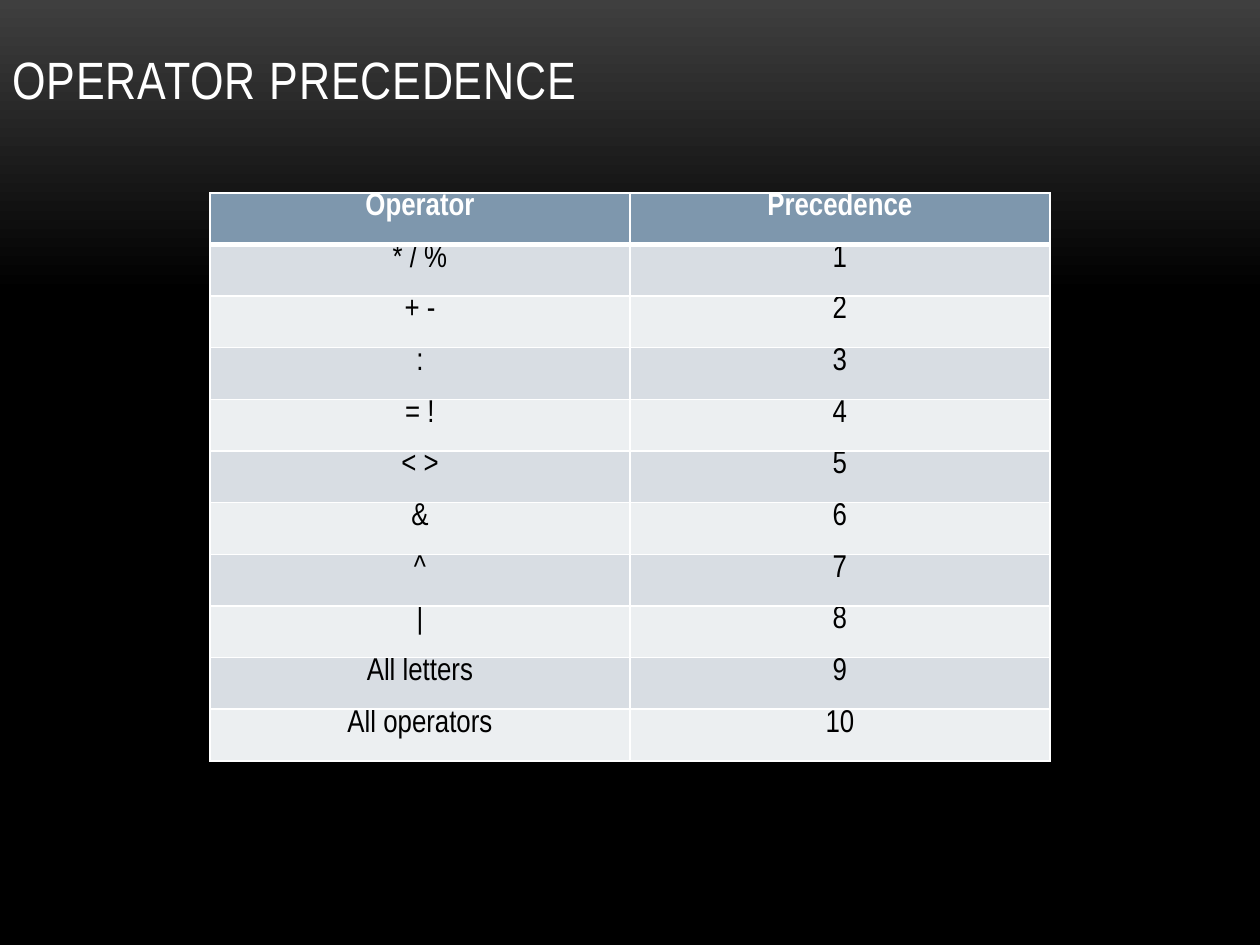
"""Build the operator precedence slide."""
import lxml.etree
import pptx
import pptx.dml.color
import pptx.enum.text
import pptx.oxml.ns
import pptx.util

TITLE = "OPERATOR PRECEDENCE"
HEADER = ("Operator", "Precedence")
OPERATORS = ["* / %", "+ -", ":", "= !", "< >", "&", "^", "|", "All letters", "All operators"]
ROWS = [HEADER] + [(operator, str(rank)) for rank, operator in enumerate(OPERATORS, 1)]

WHITE = pptx.dml.color.RGBColor(0xFF, 0xFF, 0xFF)
BLACK = pptx.dml.color.RGBColor(0x00, 0x00, 0x00)
CHARCOAL = pptx.dml.color.RGBColor(0x3F, 0x3F, 0x3F)
STEEL = pptx.dml.color.RGBColor(0x7E, 0x97, 0xAD)
BANDS = (pptx.dml.color.RGBColor(0xEC, 0xEF, 0xF1), pptx.dml.color.RGBColor(0xD8, 0xDD, 0xE3))
BACKDROP = ((0, CHARCOAL), (0.31, BLACK))

FONT = "Arial Narrow"
TITLE_FORMAT = {"name": FONT, "size": pptx.util.Pt(30)}
HEADER_FORMAT = {"name": FONT, "size": pptx.util.Pt(18), "bold": True}
BODY_FORMAT = {**HEADER_FORMAT, "bold": False}


def write(frame, text, look, color, alignment):
    para = frame.paragraphs[0]
    para.alignment = alignment
    span = para.add_run()
    span.text = text
    for name, value in look.items():
        setattr(span.font, name, value)
    span.font.color.rgb = color
    return span


def add_borders(cell, widths):
    properties = cell._tc.get_or_add_tcPr()
    for side, points in widths.items():
        line = lxml.etree.SubElement(properties, pptx.oxml.ns.qn(f"a:ln{side}"), w=str(pptx.util.Pt(points)))
        fill = lxml.etree.SubElement(line, pptx.oxml.ns.qn("a:solidFill"))
        lxml.etree.SubElement(fill, pptx.oxml.ns.qn("a:srgbClr"), val=str(WHITE))


def add_title(page, width, height):
    box = page.shapes.add_textbox(0, 0, width, height)
    frame = box.text_frame
    frame.word_wrap = True
    frame.vertical_anchor = pptx.enum.text.MSO_ANCHOR.BOTTOM
    span = write(frame, TITLE, TITLE_FORMAT, WHITE, pptx.enum.text.PP_ALIGN.LEFT)
    span.font._element.set("spc", "50")


def add_precedence_table(page, left, top, width, height):
    table = page.shapes.add_table(len(ROWS), len(HEADER), left, top, width, height).table
    for row_index, texts in enumerate(ROWS):
        is_header = row_index == 0
        for column_index, text in enumerate(texts):
            cell = table.cell(row_index, column_index)
            cell.margin_top = cell.margin_bottom = 0
            add_borders(cell, {"L": 1, "R": 1, "T": 3 if row_index == 1 else 1, "B": 3 if is_header else 1})
            cell.fill.solid()
            cell.fill.fore_color.rgb = STEEL if is_header else BANDS[row_index % 2]
            write(cell.text_frame, text, HEADER_FORMAT if is_header else BODY_FORMAT,
                  WHITE if is_header else BLACK, pptx.enum.text.PP_ALIGN.CENTER)


def main():
    deck = pptx.Presentation()
    deck.slide_width, deck.slide_height = pptx.util.Inches(10), pptx.util.Inches(7.5)
    page = deck.slides.add_slide(deck.slide_layouts[6])

    backdrop = page.background.fill
    backdrop.gradient()
    backdrop.gradient_angle = 270
    for stop, (position, color) in zip(backdrop.gradient_stops, BACKDROP):
        stop.position = position
        stop.color.rgb = color

    add_title(page, pptx.util.Inches(5.16), pptx.util.Inches(0.92))
    table_width = deck.slide_width * 2 // 3
    row_height = pptx.util.Inches(0.41)
    add_precedence_table(page, (deck.slide_width - table_width) // 2, pptx.util.Inches(1.53),
                         table_width, row_height * len(ROWS))
    deck.save("out.pptx")


if __name__ == "__main__":
    main()
